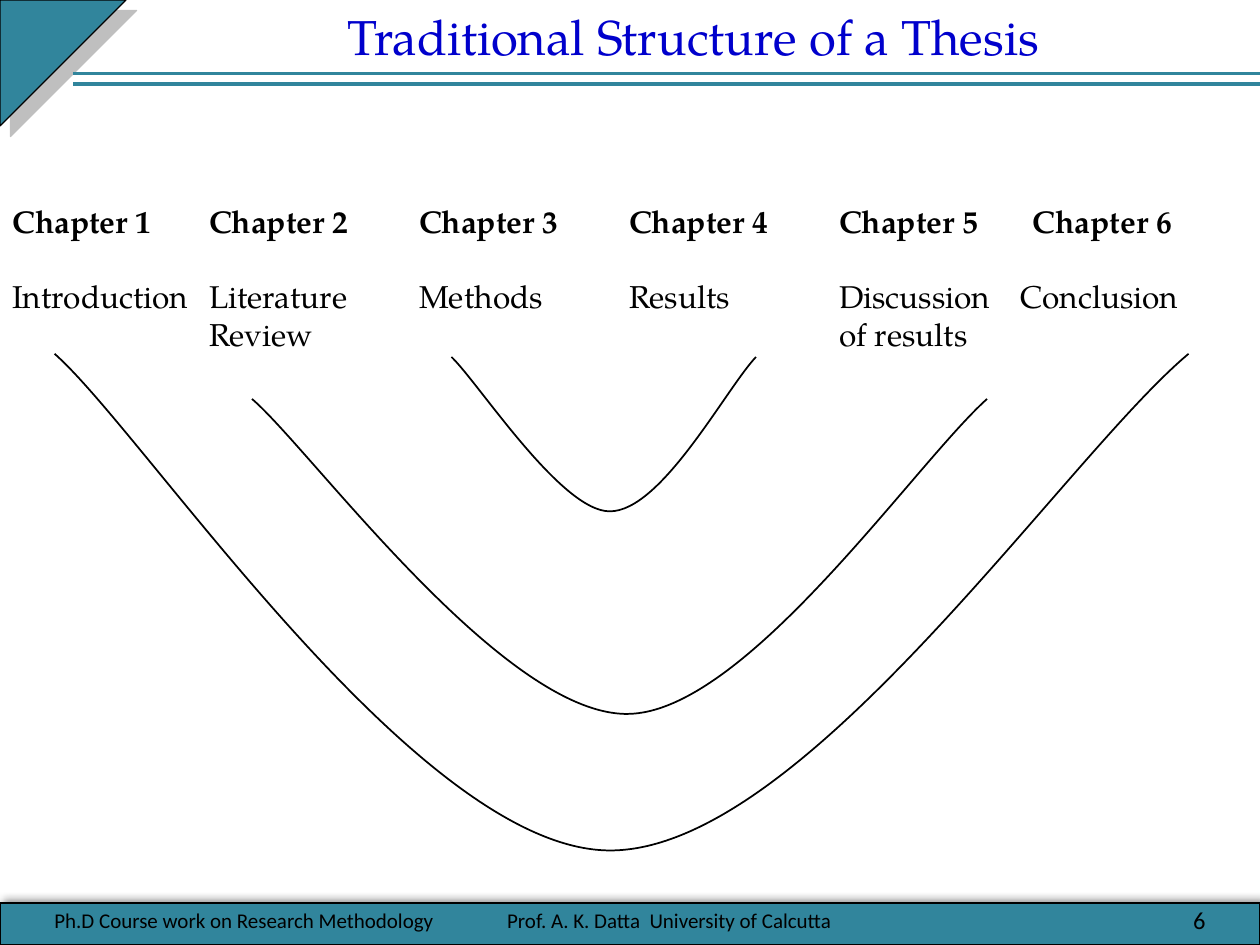
from lxml import etree
from pptx import Presentation
from pptx import util as u
from pptx.dml.color import RGBColor
from pptx.enum import shapes, text
from pptx.oxml import ns

HUES = {"teal": "31859C", "ink": "000000", "blue": "0000CC", "gray": "808080"}
SERIF, SANS = "TeX Gyre Pagella", "Calibri"
COLS = 120
LEFT, MID, RIGHT = text.PP_ALIGN.LEFT, text.PP_ALIGN.CENTER, text.PP_ALIGN.RIGHT

HEADS = [f"Chapter {n}" for n in range(1, 7)]
NAMES = ["Introduction", "Literature", "Methods", "Results", "Discussion", "Conclusion"]
MORE = ["", "Review", "", "", "of results"]
ROWS = [(HEADS, 97.2, 0, True), (NAMES, 96, 21.7, False), (MORE, 96, 0, False)]

CURVES = [
    ((43, 34, 29, 14.7), [(.09, .17), (.36, 1), (.52, 1), (.69, 1), (.9, .21), (1, 0)]),
    ((5.2, 33.7, 108, 47.3), [(.08, .16), (.32, 1), (.49, 1), (.66, 1), (.89, .21), (1, 0)]),
    ((24, 38, 70, 30), [(.08, .16), (.34, 1), (.51, 1), (.67, 1), (.9, .21), (1, 0)]),
]
NOTES = [
    ("Ph.D Course work on Research Methodology", 4, 41, LEFT, 12),
    ("Prof. A. K. Datta  University of Calcutta", 42.75, 42, MID, 12),
    ("6", 88, 28, RIGHT, 14),
]


def grid(*cells):
    """Turn grid cells into slide lengths."""
    return [u.Inches(c * 10 / COLS) for c in cells]


def hue(name):
    """Look up a named colour."""
    return RGBColor.from_string(HUES[name])


def node(parent, tag, **attrs):
    """Add a drawing element with the given attributes."""
    return etree.SubElement(parent, ns.qn("a:" + tag), {k: str(v) for k, v in attrs.items()})


def style(par, size, face, tint="ink", bold=False, align=LEFT):
    """Format a paragraph and its runs."""
    par.alignment = align
    for run in par.runs:
        font = run.font
        font.size, font.name, font.bold = u.Pt(size), face, bold
        font.color.rgb = hue(tint)


def label(slide, box):
    """Add a wrapping text box and return its frame."""
    frame = slide.shapes.add_textbox(*grid(*box)).text_frame
    frame.word_wrap = True
    return frame


def block(slide, kind, box, shade, alpha, blur, dist, angle):
    """Draw a teal shape with a shadow."""
    shape = slide.shapes.add_shape(kind, *grid(*box))
    shape.fill.solid()
    shape.fill.fore_color.rgb = hue("teal")
    shape.line.color.rgb = hue("ink")
    shape.line.width = u.Pt(0.75)
    shape.shadow.inherit = False
    fx = shape._element.spPr.find(ns.qn("a:effectLst"))
    cast = node(fx, "outerShdw", blurRad=u.Pt(blur), dist=u.Pt(dist),
                dir=angle * 60000, algn="ctr", rotWithShape=0)
    node(node(cast, "srgbClr", val=HUES[shade]), "alpha", val=alpha * 1000)
    return shape


def header(slide, box):
    """Draw the corner triangle, the double rule and the title."""
    x, y, w, h = box
    corner = block(slide, shapes.MSO_SHAPE.RIGHT_TRIANGLE, (x, y, h, h), "gray", 50, 0, 8.5, 45)
    corner.rotation = 90
    for row in (y + 7, y + 8):
        rule = slide.shapes.add_connector(shapes.MSO_CONNECTOR.STRAIGHT, *grid(x + 7, row, x + w, row))
        rule.line.color.rgb = hue("teal")
        rule.line.width = u.Pt(2.25)
        node(rule._element.spPr, "effectLst")
    title = slide.shapes.title
    title.left, title.top, title.width, title.height = grid(x + 18, y, w - 24, 6.8)
    frame = title.text_frame
    frame.text = "Traditional Structure of a Thesis"
    frame.auto_size = text.MSO_AUTO_SIZE.NONE
    frame.vertical_anchor = text.MSO_ANCHOR.TOP
    style(frame.paragraphs[0], 28, SERIF, "blue", align=MID)


def chapters(slide, box):
    """List the chapters in tabbed columns."""
    frame = label(slide, box)
    frame.text = "\n".join("\t".join(words) for words, *_ in ROWS)
    for par, (_, last, gap, bold) in zip(frame.paragraphs, ROWS):
        tabs = node(par._p.get_or_add_pPr(), "tabLst")
        for stop in grid(*[18.75 + 20 * i for i in range(4)], last):
            node(tabs, "tab", pos=stop, algn="l")
        par.space_before = u.Pt(gap)
        style(par, 18, SERIF, bold=bold)


def curve(slide, box, points):
    """Draw a smooth open arc, with its points as shares of the box."""
    x, y, w, h = box
    spots = [grid(x + a * w, y + b * h) for a, b in points]
    pen = slide.shapes.build_freeform(*grid(x, y))
    pen.add_line_segments(spots, close=False)
    arc = pen.convert_to_shape()
    arc.fill.background()
    arc.line.color.rgb = hue("ink")
    arc.line.width = u.Pt(1)
    arc.shadow.inherit = False
    route = arc._element.find(".//" + ns.qn("a:path"))
    legs = route.findall(ns.qn("a:lnTo"))
    for i in range(0, len(legs), 3):
        bend = node(route, "cubicBezTo")
        for leg in legs[i:i + 3]:
            bend.append(leg[0])
            route.remove(leg)


def footer(slide, box):
    """Draw the bottom band and its notes."""
    x, y, w, h = box
    block(slide, shapes.MSO_SHAPE.RECTANGLE, box, "ink", 40, 4, 3, 315)
    for words, col, span, align, size in NOTES:
        frame = label(slide, (x + col, y - 0.8, span, h + 0.8))
        frame.vertical_anchor = text.MSO_ANCHOR.MIDDLE
        frame.text = words
        style(frame.paragraphs[0], size, SANS, align=align)


def main():
    """Build and save the slide."""
    deck = Presentation()
    deck.slide_width, deck.slide_height = grid(COLS, 90)
    slide = deck.slides.add_slide(deck.slide_layouts[5])
    header(slide, (0, 0, COLS, 12))
    chapters(slide, (0, 18.6, 114, 16))
    for box, points in CURVES:
        curve(slide, box, points)
    footer(slide, (0, 86, COLS, 4))
    deck.save("out.pptx")


if __name__ == "__main__":
    main()
